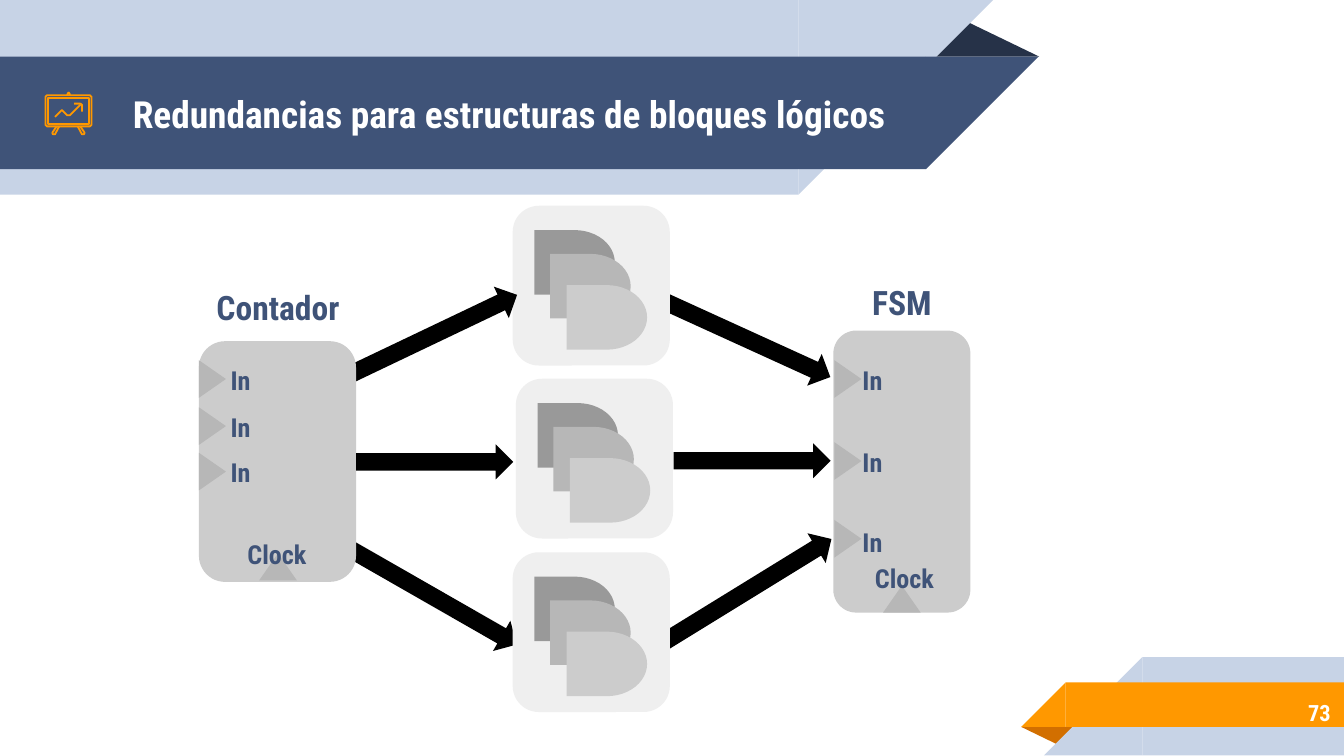
"""Build the slide on redundancy for logic block structures."""
from pptx import Presentation
from pptx.dml.color import RGBColor
from pptx.enum.shapes import MSO_SHAPE
from pptx.enum.text import MSO_ANCHOR, PP_ALIGN
from pptx.util import Cm, Pt

RECT, ROUND = MSO_SHAPE.RECTANGLE, MSO_SHAPE.ROUNDED_RECTANGLE
CORNER, TRIANGLE = MSO_SHAPE.RIGHT_TRIANGLE, MSO_SHAPE.ISOSCELES_TRIANGLE
ARROW, DELAY = MSO_SHAPE.RIGHT_ARROW, MSO_SHAPE.FLOWCHART_DELAY
MIDDLE = MSO_ANCHOR.MIDDLE
LEFT, CENTER, RIGHT = PP_ALIGN.LEFT, PP_ALIGN.CENTER, PP_ALIGN.RIGHT

COLORS = {
    "white": "FFFFFF", "navy": "3F5378", "pale": "C7D3E6", "night": "263248",
    "orange": "FF9800", "rust": "D26F00", "black": "000000", "card": "EFEFEF",
    "light": "CCCCCC", "mid": "B7B7B7", "dark": "999999",
}
GATES = [(0.41, 0.46, "dark"), (0.71, 0.91, "mid"), (1.02, 1.5, "light")]
CARDS = [(9.69, 3.89), (9.75, 7.16), (9.69, 10.44)]
RIGHT_ARROWS = [(12.14, 10.87, 3.86, 328.4), (12.34, 6.07, 3.51, 24.5)]
LEFT_ARROWS = [(6.07, 10.87, 3.96, 29.8), (6.12, 6.07, 3.84, 334.5)]
LEVEL_ARROWS = [(6.73, 8.4, 2.97, 0), (12.73, 8.38, 2.97, 0)]
BLOCKS = [
    {"name": "Contador", "body": (3.76, 6.45, 2.97, 4.55),
     "title": (3.12, 5.36, 4.27, 0.89), "clock": (4.32, 9.86, 1.83, 1.24),
     "notch": (4.9, 10.46), "pin_x": 3.66, "in_x": 4.04,
     "pins": [(6.91, 6.73), (7.8, 7.62), (8.66, 8.48)]},
    {"name": "FSM", "body": (15.75, 6.25, 2.59, 5.33),
     "title": (14.86, 5.26, 4.37, 0.89), "clock": (16.18, 10.44, 1.83, 0.97),
     "notch": (16.69, 11.07), "pin_x": 15.67, "in_x": 15.98,
     "pins": [(6.91, 6.73), (8.46, 8.28), (9.93, 9.8)]},
]
BOARD_OUTLINES = [
    ([(89, 180), (170, 180), (173, 183), (173, 236), (170, 239), (89, 239),
      (86, 236), (86, 183)], True),
    ([(132, 180), (132, 178), (130, 175), (128, 177), (127, 180)], False),
    ([(107, 239), (99, 251), (100, 254), (104, 254), (112, 239)], False),
    ([(147, 239), (155, 254), (159, 254), (160, 251), (152, 239)], False),
    ([(91, 185), (168, 185), (168, 234), (91, 234)], True),
    ([(152, 198), (132, 218), (127, 218), (117, 208), (104, 221)], False),
    ([(140, 196), (152, 196), (155, 198), (155, 211)], False),
]


def rgb(name):
    """Return the named colour."""
    return RGBColor.from_string(COLORS[name])


def add_filled(s, kind, box, color, rotation=0, adjust=None):
    """Add a plain filled preset shape."""
    sp = s.shapes.add_shape(kind, *map(Cm, box))
    sp.shadow.inherit = False
    sp.fill.solid()
    sp.fill.fore_color.rgb = rgb(color)
    sp.line.fill.background()
    sp.rotation = rotation
    if adjust is not None:
        sp.adjustments[0] = adjust


def write(sp, text, size, color, align):
    """Put one formatted line of text in a shape."""
    tf = sp.text_frame
    frame = {"word_wrap": True, "vertical_anchor": MIDDLE}
    frame.update({f"margin_{side}": Cm(0.25)
                  for side in ("left", "top", "right", "bottom")})
    for name, value in frame.items():
        setattr(tf, name, value)
    p = tf.paragraphs[0]
    p.alignment = align
    r = p.add_run()
    r.text = text
    font = {"name": "Roboto Condensed", "size": Pt(size), "bold": True}
    for name, value in font.items():
        setattr(r.font, name, value)
    r.font.color.rgb = rgb(color)


def add_label(s, text, box, size, color="navy", align=CENTER):
    """Add a text box."""
    write(s.shapes.add_textbox(*map(Cm, box)), text, size, color, align)


def add_title(s, text, box):
    """Place the title in front of the banner."""
    sp = s.shapes.title
    sp.left, sp.top, sp.width, sp.height = map(Cm, box)
    write(sp, text, 20, "white", LEFT)
    s.shapes._spTree.append(sp._element)


def add_bands(s):
    """Draw the top banner and the bottom ribbon."""
    add_filled(s, TRIANGLE, (17.48, 0.36, 2.16, 0.71), "night", 0, 0.32)
    for top, width, height, color in [(0, 15.09, 3.68, "pale"),
                                      (1.07, 17.5, 2.13, "navy")]:
        add_filled(s, RECT, (0, top, width, height), color)
        add_filled(s, CORNER, (width, top, height, height), color, 90)
    add_filled(s, TRIANGLE, (19.3, 13.74, 1.09, 0.36), "rust", 180, 0.32)
    for left, top, height, color in [(21.59, 12.42, 1.86, "pale"),
                                     (20.14, 12.9, 0.84, "orange")]:
        add_filled(s, RECT, (left, top, 25.4 - left, height), color)
        add_filled(s, CORNER, (left - height, top, height, height), color, 270)


def add_board_icon(s):
    """Draw the outlined presentation board."""
    for points, closed in BOARD_OUTLINES:
        builder = s.shapes.build_freeform(*points[0], scale=Cm(0.01))
        builder.add_line_segments(points[1:], close=closed)
        sp = builder.convert_to_shape()
        sp.shadow.inherit = False
        sp.fill.background()
        sp.line.color.rgb = rgb("orange")
        sp.line.width = Pt(0.96)


def add_arrows(s, arrows):
    """Draw block arrows given as left, top, length and rotation."""
    for left, top, length, rotation in arrows:
        add_filled(s, ARROW, (left, top, length, 0.66), "black", rotation)


def add_card(s, left, top):
    """Draw a card with three stacked gates."""
    add_filled(s, ROUND, (left, top, 2.97, 3.02), "card")
    for dx, dy, color in GATES:
        add_filled(s, DELAY, (left + dx, top + dy, 1.52, 1.22), color)


def add_block(s, block):
    """Draw a logic block with its inputs and clock."""
    add_filled(s, ROUND, block["body"], "light")
    add_filled(s, TRIANGLE, (*block["notch"], 0.71, 0.51), "mid")
    add_label(s, block["name"], block["title"], 18)
    add_label(s, "Clock", block["clock"], 14)
    for pin_y, in_y in block["pins"]:
        add_filled(s, TRIANGLE, (block["pin_x"], pin_y, 0.71, 0.51), "mid", 90)
        add_label(s, "In", (block["in_x"], in_y, 1.02, 0.89), 14)


def main():
    """Build and save the slide."""
    prs = Presentation()
    prs.slide_width, prs.slide_height = Cm(25.4), Cm(14.29)
    s = prs.slides.add_slide(prs.slide_layouts[5])
    add_bands(s)
    add_arrows(s, RIGHT_ARROWS)
    add_card(s, *CARDS[0])
    add_arrows(s, LEFT_ARROWS)
    add_title(s, "Redundancias para estructuras de bloques lógicos",
              (2.26, 1.09, 15.19, 2.13))
    add_label(s, "73", (21.26, 13.03, 4.14, 0.89), 12, "white", RIGHT)
    add_board_icon(s)
    for block in BLOCKS:
        add_block(s, block)
    add_arrows(s, LEVEL_ARROWS)
    for left, top in CARDS[1:]:
        add_card(s, left, top)
    prs.save("out.pptx")


if __name__ == "__main__":
    main()
